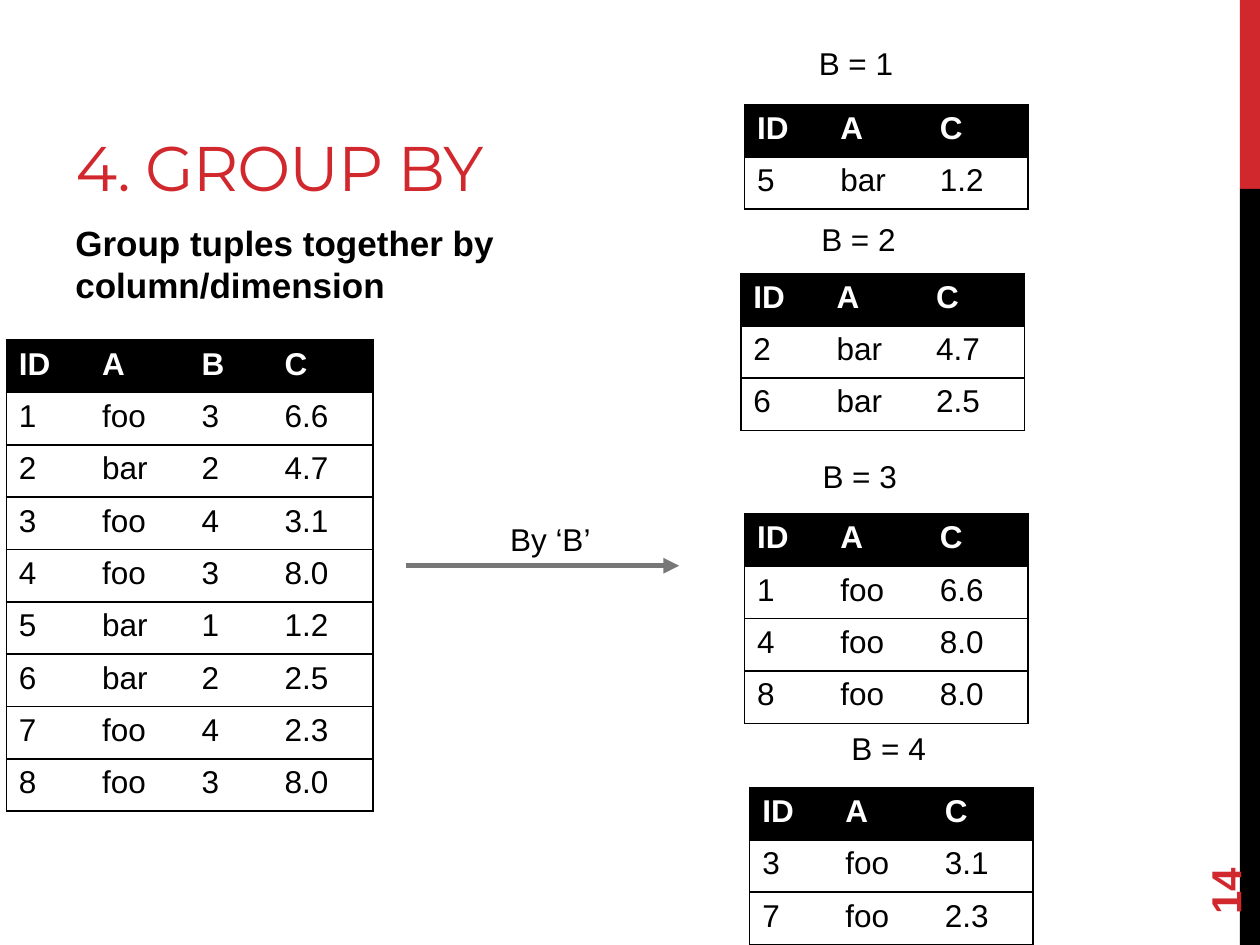
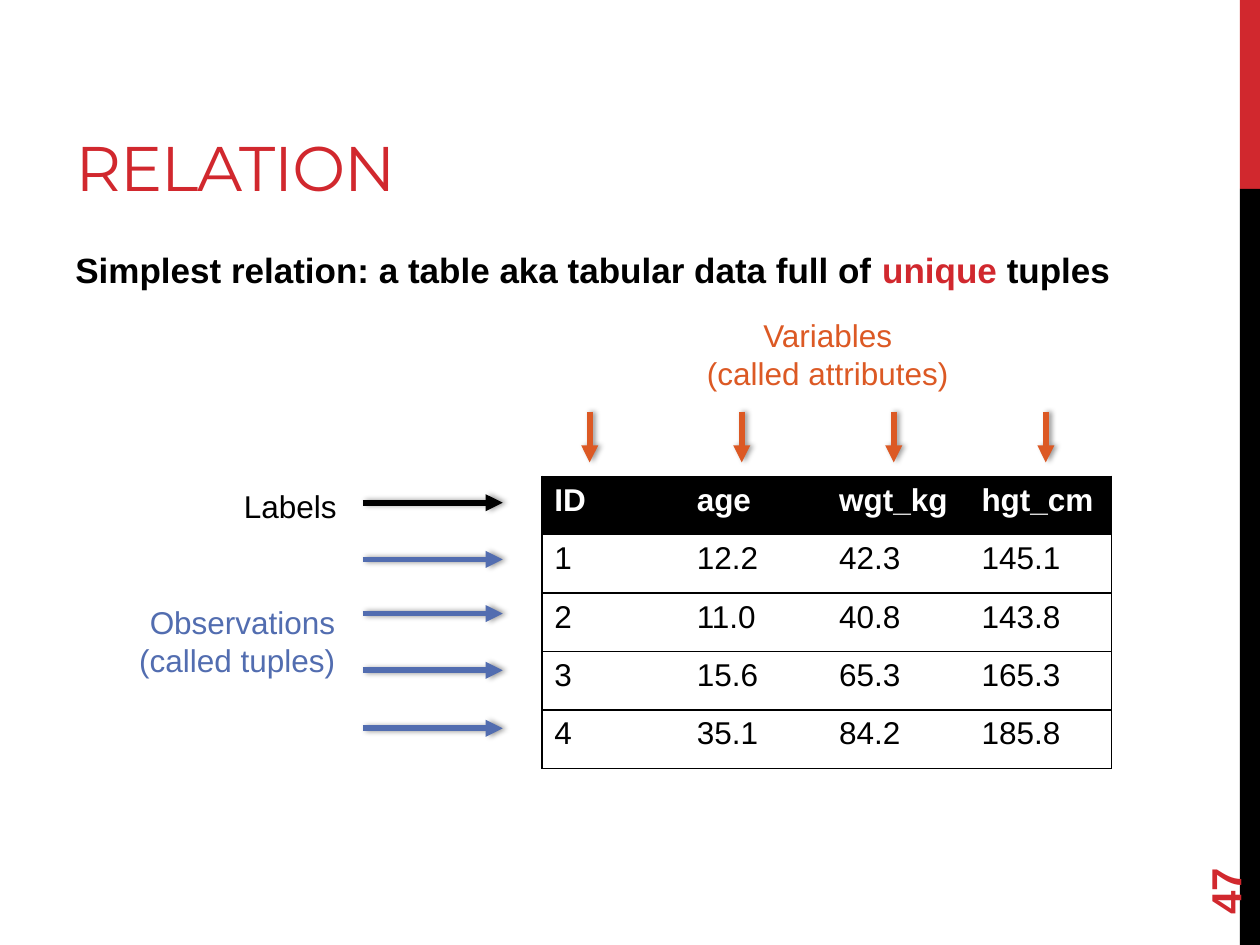
"""Build two slides on relations: grouping tuples and the parts of a table."""
from dataclasses import dataclass

from lxml import etree
from pptx import Presentation, util as u
from pptx.dml.color import RGBColor
from pptx.enum import shapes, text
from pptx.oxml import ns

COLORS = {
    "red": "D1282E",
    "black": "000000",
    "white": "FFFFFF",
    "gray": "777777",
    "blue": "526DB0",
    "orange": "DC5924",
}
BODY_FONT, TITLE_FONT = "Arial", "Montserrat"
NO_STYLE = "{2D5ABB26-0587-4C30-8999-92F81FD0307C}"
LEFT, CENTER, RIGHT = text.PP_ALIGN.LEFT, text.PP_ALIGN.CENTER, text.PP_ALIGN.RIGHT

HEADER = ("ID", "A", "B", "C")
TUPLES = (
    ("1", "foo", "3", "6.6"),
    ("2", "bar", "2", "4.7"),
    ("3", "foo", "4", "3.1"),
    ("4", "foo", "3", "8.0"),
    ("5", "bar", "1", "1.2"),
    ("6", "bar", "2", "2.5"),
    ("7", "foo", "4", "2.3"),
    ("8", "foo", "3", "8.0"),
)
COLUMN_WIDTHS = (0.66, 0.79, 0.66, 0.8)
MEASUREMENTS = (
    ("ID", "age", "wgt_kg", "hgt_cm"),
    ("1", "12.2", "42.3", "145.1"),
    ("2", "11.0", "40.8", "143.8"),
    ("3", "15.6", "65.3", "165.3"),
    ("4", "35.1", "84.2", "185.8"),
)


@dataclass
class Label:
    """A text box; each line is a list of (words, color) runs."""
    box: tuple
    lines: list
    size: float = 18
    bold: bool = False
    align: text.PP_ALIGN = LEFT
    wrap: bool = True
    grow: bool = True


@dataclass
class Arrow:
    """A straight arrow between two points."""
    start: tuple
    end: tuple
    color: str
    width: float = 3.25
    shadow: bool = True


@dataclass
class Grid:
    """A table with a black header row."""
    left: float
    top: float
    widths: tuple
    row_height: float
    rows: list


@dataclass
class Group:
    """Where the tuples sharing one value of B are shown."""
    value: str
    label_at: tuple
    table_at: tuple


GROUPS = (
    Group("1", (6.4, 0.3), (5.91, 0.83)),
    Group("2", (6.42, 1.7), (5.88, 2.17)),
    Group("3", (6.43, 3.58), (5.91, 4.08)),
    Group("4", (6.66, 5.74), (5.95, 6.25)),
)


def rgb(name: str) -> RGBColor:
    """Look up a named color."""
    return RGBColor.from_string(COLORS[name])


def inches(values) -> list:
    """Turn numbers into inch lengths."""
    return [u.Inches(v) for v in values]


def add_run(p, words: str, color: str, size: float, bold=False, font=BODY_FONT):
    """Append one formatted run to a paragraph."""
    r = p.add_run()
    r.text = words
    r.font.name, r.font.size, r.font.bold = font, u.Pt(size), bold
    r.font.color.rgb = rgb(color)
    return r


def add_label(s, label: Label):
    """Draw a text box."""
    sp = s.shapes.add_textbox(*inches(label.box))
    tf = sp.text_frame
    tf.word_wrap = label.wrap
    if label.grow:
        tf.auto_size = text.MSO_AUTO_SIZE.SHAPE_TO_FIT_TEXT
    for i, line in enumerate(label.lines):
        p = tf.paragraphs[0] if i == 0 else tf.add_paragraph()
        p.alignment = label.align
        for words, color in line:
            add_run(p, words, color, label.size, label.bold)
    return sp


def add_arrow(s, arrow: Arrow) -> None:
    """Draw an arrow, with or without a soft shadow."""
    sp = s.shapes.add_connector(
        shapes.MSO_CONNECTOR.STRAIGHT, *inches(arrow.start + arrow.end))
    sp.line.color.rgb = rgb(arrow.color)
    sp.line.width = u.Pt(arrow.width)
    etree.SubElement(sp.line._get_or_add_ln(), ns.qn("a:tailEnd"), type="triangle")
    effects = etree.SubElement(sp._element.spPr, ns.qn("a:effectLst"))
    if arrow.shadow:
        shade = etree.SubElement(
            effects, ns.qn("a:outerShdw"), blurRad=str(u.Pt(3.1)),
            dist=str(u.Pt(1.8)), dir="0", rotWithShape="0")
        color = etree.SubElement(shade, ns.qn("a:srgbClr"), val=COLORS["black"])
        etree.SubElement(color, ns.qn("a:alpha"), val="40000")


def add_border(cell, side: str) -> None:
    """Give one side of a cell a thin black line."""
    ln = etree.SubElement(
        cell._tc.get_or_add_tcPr(), ns.qn(f"a:ln{side}"), w=str(u.Pt(1)))
    fill = etree.SubElement(ln, ns.qn("a:solidFill"))
    etree.SubElement(fill, ns.qn("a:srgbClr"), val=COLORS["black"])


def add_grid(s, grid: Grid) -> None:
    """Draw a table ruled between rows and around its outside."""
    n_rows, n_cols = len(grid.rows), len(grid.widths)
    size = (sum(grid.widths), grid.row_height * n_rows)
    table = s.shapes.add_table(
        n_rows, n_cols, *inches((grid.left, grid.top) + size)).table
    table.first_row = table.horz_banding = False
    table._tbl.tblPr.find(ns.qn("a:tableStyleId")).text = NO_STYLE
    for column, width in zip(table.columns, grid.widths):
        column.width = u.Inches(width)
    for i, row in enumerate(grid.rows):
        table.rows[i].height = u.Inches(grid.row_height)
        fill, color = ("black", "white") if i == 0 else ("white", "black")
        for j, words in enumerate(row):
            cell = table.cell(i, j)
            sides = ("L" if j == 0 else "") + ("R" if j == n_cols - 1 else "")
            for side in sides + "TB":
                add_border(cell, side)
            cell.fill.solid()
            cell.fill.fore_color.rgb = rgb(fill)
            add_run(cell.text_frame.paragraphs[0], words, color, 18, i == 0)


def add_base(prs, title: str, title_width: float, number: str):
    """Add a slide with the side bands, title and page number."""
    s = prs.slides.add_slide(prs.slide_layouts[5])
    for top, height, color in ((0, 1.5, "red"), (1.5, 6, "black")):
        sp = s.shapes.add_shape(
            shapes.MSO_SHAPE.RECTANGLE, *inches((9.84, top, 0.16, height)))
        sp.shadow.inherit = False
        sp.fill.solid()
        sp.fill.fore_color.rgb = rgb(color)
        sp.line.fill.background()
    sp = s.shapes.title
    sp.left, sp.top, sp.width, sp.height = inches((0.5, 0.17, title_width, 1.5))
    tf = sp.text_frame
    tf.vertical_anchor = text.MSO_ANCHOR.BOTTOM
    p = tf.paragraphs[0]
    p.alignment = LEFT
    r = add_run(p, title, "red", 36, font=TITLE_FONT)
    r.font._element.set("spc", "-60")
    sp = add_label(s, Label((9, 6.44, 1.44, 0.4), [[(number, "red")]],
                            size=24, bold=True, grow=False))
    sp.rotation = 270
    sp.text_frame.vertical_anchor = text.MSO_ANCHOR.MIDDLE
    return s


def build_group_by(prs) -> None:
    """Show one table split into groups by column B."""
    s = add_base(prs, "4. GROUP BY", 7.12, "14")
    row_height = 3.74 / 9
    add_label(s, Label(
        (0.5, 1.71, 5.66, 0.82),
        [[("Group tuples together by column/dimension", "black")]],
        size=20, bold=True, grow=False))
    add_grid(s, Grid(0.05, 2.7, COLUMN_WIDTHS, row_height, [HEADER, *TUPLES]))
    add_label(s, Label((3.95, 4.08, 1.23, 0.4), [[("By ‘B’", "black")]]))
    add_arrow(s, Arrow((3.22, 4.49), (5.39, 4.49), "gray", 3, False))
    b = HEADER.index("B")
    widths = COLUMN_WIDTHS[:b] + COLUMN_WIDTHS[b + 1:]
    for group in GROUPS:
        members = [HEADER] + [t for t in TUPLES if t[b] == group.value]
        rows = [t[:b] + t[b + 1:] for t in members]
        add_grid(s, Grid(*group.table_at, widths, row_height, rows))
        add_label(s, Label(group.label_at + (0.8, 0.4),
                           [[(f"B = {group.value}", "black")]], wrap=False))


def build_relation(prs) -> None:
    """Name the labels, observations and variables of a table."""
    s = add_base(prs, "RELATION", 6.33, "47")
    add_label(s, Label(
        (0.5, 1.92, 8.53, 4.78),
        [[("Simplest relation: a table aka tabular data full of ", "black"),
          ("unique", "red"), (" tuples", "black")]],
        size=20, bold=True, grow=False))
    add_grid(s, Grid(4.3, 3.78, (1.13,) * 4, 2.32 / 5, MEASUREMENTS))
    add_label(s, Label((1.52, 3.82, 1.25, 0.4), [[("Labels", "black")]], align=RIGHT))
    add_label(s, Label(
        (0.8, 4.74, 1.96, 0.71),
        [[("Observations", "blue")], [("(called tuples)", "blue")]], align=RIGHT))
    add_label(s, Label(
        (5.5, 2.46, 2.14, 0.71),
        [[("Variables", "orange")], [("(called attributes)", "orange")]],
        align=CENTER))
    for i, y in enumerate((3.99, 4.44, 4.87, 5.32, 5.78)):
        add_arrow(s, Arrow((2.88, y), (3.99, y), "blue" if i else "black"))
    for i in range(4):
        x = 4.68 + i * (8.3 - 4.68) / 3
        add_arrow(s, Arrow((x, 3.27), (x, 3.67), "orange"))


def main() -> None:
    """Build and save the presentation."""
    prs = Presentation()
    prs.slide_width, prs.slide_height = u.Inches(10), u.Inches(7.5)
    build_group_by(prs)
    build_relation(prs)
    prs.save("out.pptx")


if __name__ == "__main__":
    main()
